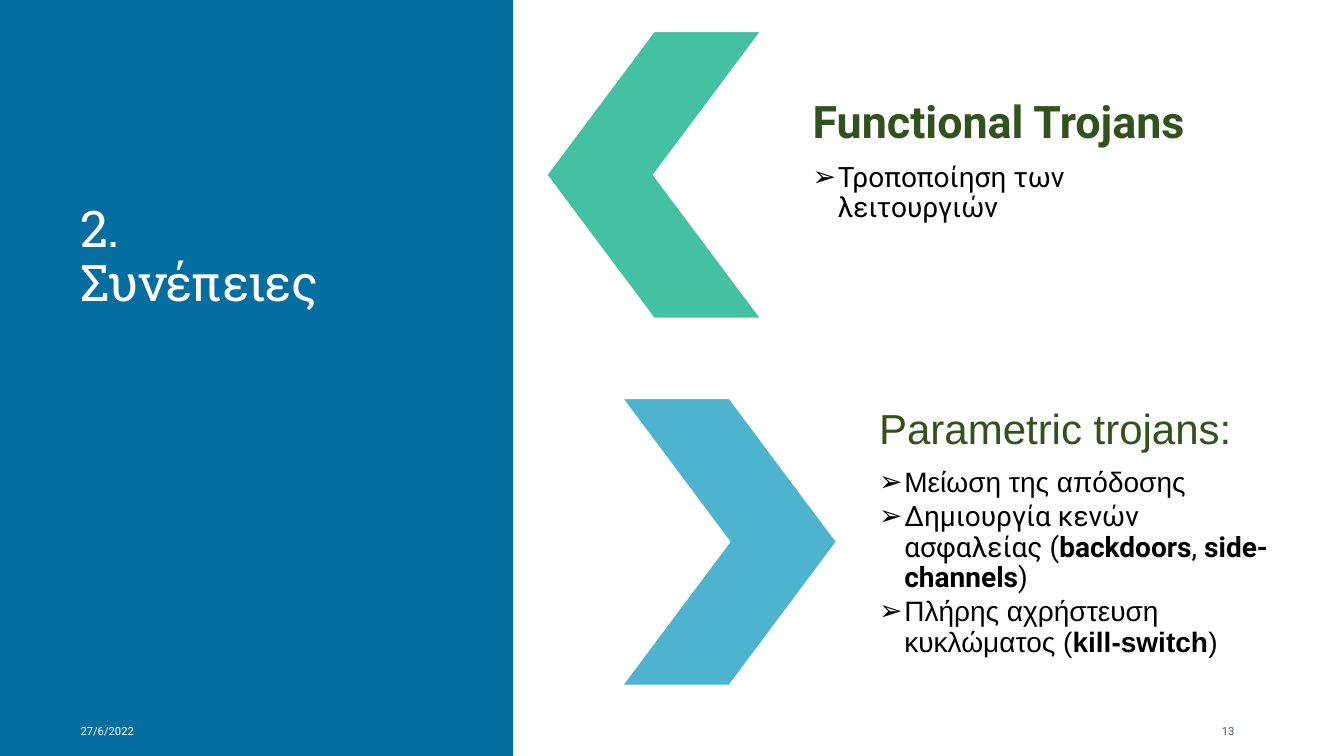
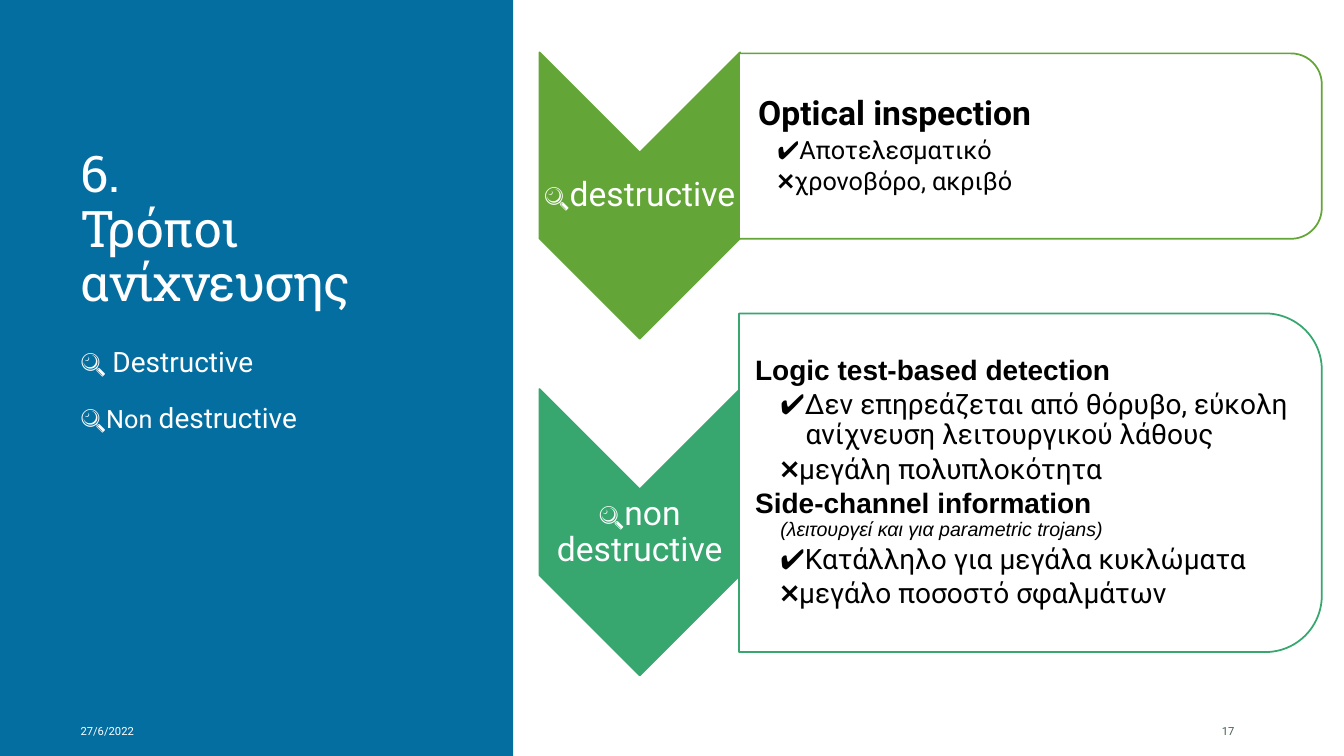
from pptx import Presentation
from pptx import util as u
from pptx.dml.color import RGBColor
from pptx.enum import lang as el, shapes as es, text as et
from pptx.oxml.ns import qn
from lxml import etree

WIDE, HIGH = 13.33, 7.5
BLUE, WHITE, BLACK, MOSS, GREY = "056EA0", "FFFFFF", "000000", "31521C", "455F51"
BOLD = {"bold": True}
ROB, ARI = {"name": "Roboto"}, {"name": "Arial"}
GREEK = {"language_id": el.MSO_LANGUAGE_ID.GREEK}
SIGN = {"language_id": el.MSO_LANGUAGE_ID.ENGLISH_US}
PRO, CON = ("✔", SIGN), ("❌", SIGN)
DATE = "27/6/2022"

HEAD = {"gap": 0.35}
MARK = {"gap": 0.15, "ind": 0.25, "hang": 0.25, "bul": "➢"}
LEAD = {"gap": 0.15, "ind": 0.25, "hang": 0.25}
NEAR = {"gap": 0.15, "ind": 0.38, "hang": 0.19}
DEEP = {"gap": 0.15, "ind": 0.5, "hang": 0.25}

TROJANS = [
    {"fill": "44C1A3", "turn": 180, "pad": 0.25, "base": {**ROB, "size": 20}, "text": [
        (HEAD, [("Functional Trojans", {"size": 32, "bold": True, "col": MOSS})]),
        (MARK, [("Τροποποίηση των λειτουργιών", {})]),
    ]},
    {"fill": "4EB3CF", "turn": 0, "pad": 0.16, "base": {**ARI, "size": 20}, "text": [
        (HEAD, [("Parametric trojans:", {"size": 30, "col": MOSS})]),
        (MARK, [("Μείωση της απόδοσης", {})]),
        (MARK, [("Δημιουργία κενών ασφαλείας (", ROB), ("backdoors", {**ROB, **BOLD}),
                (", ", ROB), ("side-channels", {**ROB, **BOLD}), (")", ROB)]),
        (MARK, [("Πλήρης αχρήστευση κυκλώματος (", {}), ("kill-switch", BOLD), (")", {})]),
    ]},
]

METHODS = [
    {"name": "destructive", "col": "63A537", "top": 0.53, "high": 1.84, "left": 0.19,
     "base": {**ROB, "size": 18}, "text": [
        (LEAD, [("Optical inspection", {"size": 24, "bold": True})]),
        (NEAR, [PRO, ("Αποτελεσματικό", GREEK)]),
        (NEAR, [CON, ("χρονοβόρο, ακριβό", GREEK)]),
    ]},
    {"name": "non destructive", "col": "37A76F", "top": 3.11, "high": 3.36, "left": 0.16,
     "base": {**ROB, "size": 20}, "text": [
        (LEAD, [("Logic test-based detection", {**ARI, **BOLD})]),
        (DEEP, [PRO, ("Δεν επηρεάζεται από θόρυβο, εύκολη ανίχνευση λειτουργικού λάθους", GREEK)]),
        (DEEP, [CON, ("μεγάλη πολυπλοκότητα", GREEK)]),
        (LEAD, [("Side-channel information\v", {**ARI, **BOLD}),
                ("(λειτουργεί και για parametric trojans)", {**ARI, "size": 14, "italic": True})]),
        (DEEP, [PRO, ("Κατάλληλο για μεγάλα κυκλώματα", GREEK)]),
        (DEEP, [CON, ("μεγάλο ποσοστό σφαλμάτων", GREEK)]),
    ]},
]

KINDS = {"lead": 1.1, "after": 2}
MENU = [
    (KINDS, [("🔍 ", {}), ("Destructive", {"size": 20}), (" ", {})]),
    ({**KINDS, "before": 12}, [("🔍Non ", {}), ("destructive", {"size": 20})]),
]


def rgb(code):
    return RGBColor.from_string(code)


def place(item, box):
    for key, val in zip(("left", "top", "width", "height"), box):
        setattr(item, key, u.Inches(val))


def put_run(par, words, form):
    for num, part in enumerate(words.split("\v")):
        if num:
            par.add_line_break()
        if part:
            run = par.add_run()
            run.text = part
            for key, val in form.items():
                if key == "size":
                    run.font.size = u.Pt(val)
                elif key == "col":
                    run.font.color.rgb = rgb(val)
                elif key == "spc":
                    run.font._element.set("spc", str(val))
                else:
                    setattr(run.font, key, val)


def write(item, text, base, anchor="MIDDLE", pads=(0.1, 0.05, 0.1, 0.05), align="LEFT"):
    frame = item.text_frame
    form = {"word_wrap": True, "auto_size": et.MSO_AUTO_SIZE.NONE,
            "vertical_anchor": getattr(et.MSO_ANCHOR, anchor)}
    for side, pad in zip(("left", "top", "right", "bottom"), pads):
        form["margin_" + side] = u.Inches(pad)
    for key, val in form.items():
        setattr(frame, key, val)
    for num, (kind, runs) in enumerate(text):
        par = frame.add_paragraph() if num else frame.paragraphs[0]
        props = par._p.get_or_add_pPr()
        props.set("marL", str(u.Inches(kind.get("ind", 0))))
        props.set("indent", str(-u.Inches(kind.get("hang", 0))))
        if "bul" in kind:
            etree.SubElement(props, qn("a:buFont")).set("typeface", ARI["name"])
            etree.SubElement(props, qn("a:buChar")).set("char", kind["bul"])
        else:
            etree.SubElement(props, qn("a:buNone"))
        size = {**base, **runs[0][1]}["size"]
        after = kind.get("after", size * kind.get("gap", 0))
        form = {"alignment": getattr(et.PP_ALIGN, align), "line_spacing": kind.get("lead", 0.9),
                "space_before": u.Pt(kind.get("before", 0)), "space_after": u.Pt(after)}
        for key, val in form.items():
            setattr(par, key, val)
        for words, more in runs:
            put_run(par, words, {"col": BLACK, **base, **more})


def label(slide, box, text, base, **form):
    item = slide.shapes.add_textbox(*map(u.Inches, box))
    write(item, text, base, **form)


def draw(slide, kind, box, fill, line=None, turn=0):
    left, top, wide, high = box
    if turn == 90:
        box = left + (wide - high) / 2, top + (high - wide) / 2, high, wide
    item = slide.shapes.add_shape(getattr(es.MSO_SHAPE, kind), *map(u.Inches, box))
    item.shadow.inherit = False
    item.rotation = turn
    item.fill.solid()
    item.fill.fore_color.rgb = rgb(fill)
    if line:
        item.line.color.rgb = rgb(line)
        item.line.width = u.Pt(1.25)
    else:
        item.line.fill.background()
    return item


def start(deck, lay, title, page):
    slide = deck.slides.add_slide(deck.slide_layouts[lay])
    place(slide.shapes.title, (0.7, 0.86, 3.85, 2.29))
    write(slide.shapes.title, [({}, [(title, {})])],
          {"name": "Roboto Slab", "size": 36, "col": WHITE, "spc": -50}, anchor="BOTTOM")
    for left, wide, words, col in ((0.7, 3.85, DATE, WHITE), (12.02, 0.85, page, GREY)):
        label(slide, (left, 7.05, wide, 0.4), [({"lead": 1.0}, [(words, {})])],
              {**ROB, "size": 8, "col": col})
    return slide


def effects(deck):
    slide = start(deck, 5, "2. \vΣυνέπειες", "13")
    panel = draw(slide, "RECTANGLE", (0, 0, 5.09, HIGH), BLUE)
    deck.slide_master.shapes.element.insert(2, panel.element)
    for num, part in enumerate(TROJANS):
        dx, dy, pad = 0.75 * num, 3.64 * num, part["pad"]
        draw(slide, "CHEVRON", (5.42 + dx, 0.31 + dy, 2.13, 2.85), part["fill"], WHITE, part["turn"])
        label(slide, (7.81 + dx, 0.05 + dy, 4.27, 3.36), part["text"], part["base"],
              pads=(pad, 0, pad, pad))


def detection(deck):
    slide = start(deck, 1, "6. \vΤρόποι ανίχνευσης", "17")
    body = slide.placeholders[1]
    place(body, (0.7, 3.33, 3.85, 3.35))
    write(body, MENU, {**ROB, "size": 18, "col": WHITE}, anchor="TOP")
    for num, part in enumerate(METHODS):
        top, high, col = part["top"], part["high"], part["col"]
        peak = 0.52 + 3.34 * num
        draw(slide, "CHEVRON", (5.35, peak, 1.99, 2.84), col, col, 90)
        label(slide, (5.35, peak + 1, 1.99, 0.85),
              [(HEAD, [("🔍", {"size": 18}), (part["name"], {})])],
              {**ROB, "size": 24, "col": WHITE}, pads=(0.01,) * 4, align="CENTER")
        draw(slide, "ROUND_2_SAME_RECTANGLE", (7.33, top, 5.78, high), WHITE, col, 90)
        rim = high * 0.05
        label(slide, (7.33, top + rim, 5.78 - rim, high - 2 * rim), part["text"], part["base"],
              pads=(part["left"], 0.01, 0.01, 0.01))


def main():
    deck = Presentation()
    deck.slide_width, deck.slide_height = u.Inches(WIDE), u.Inches(HIGH)
    effects(deck)
    detection(deck)
    deck.save("out.pptx")


if __name__ == "__main__":
    main()
